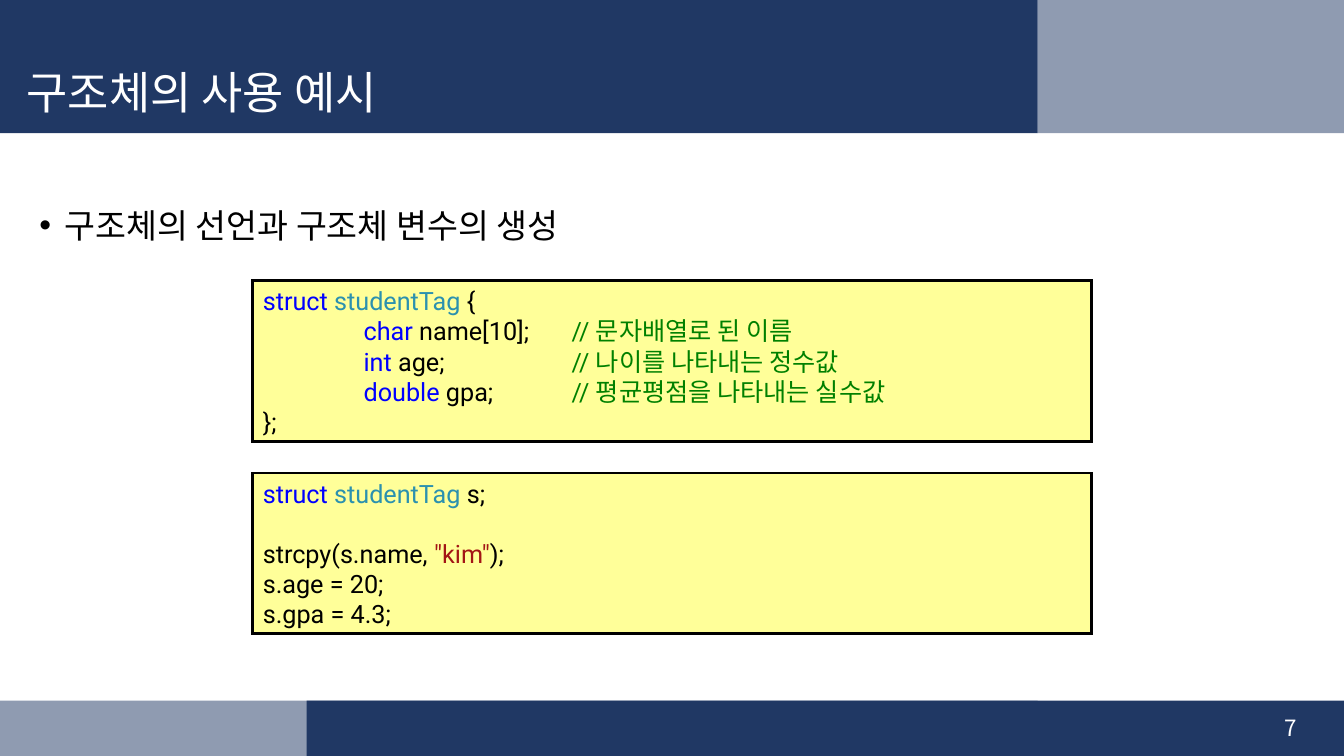
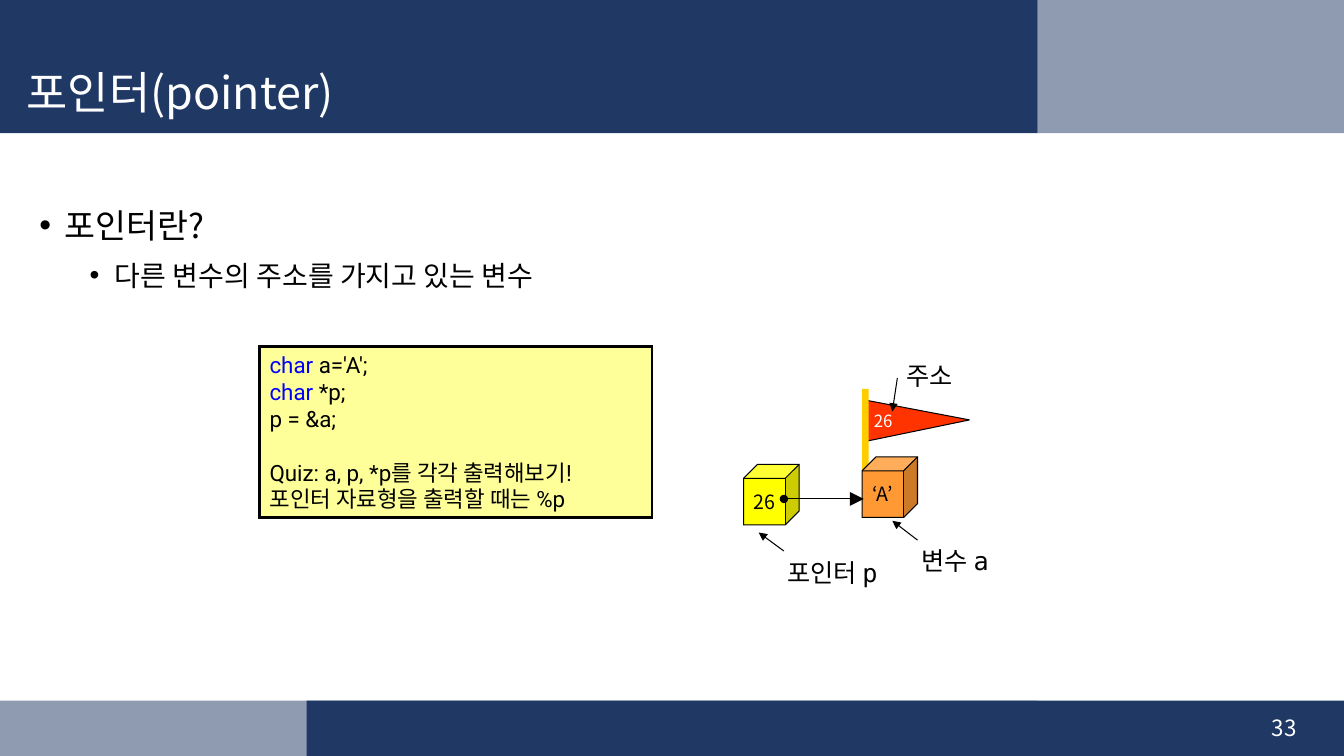
"""Build two lecture slides on C structures and pointers."""
from dataclasses import dataclass

from lxml.etree import SubElement as Sub
from pptx import Presentation
from pptx.dml.color import RGBColor as Rgb
from pptx.enum.shapes import MSO_CONNECTOR as Conn, MSO_SHAPE as Form
from pptx.enum.text import MSO_ANCHOR as Anchor, PP_ALIGN as Align
from pptx.oxml.ns import qn
from pptx.util import Inches, Pt


@dataclass(frozen=True)
class Theme:
    navy: str = "203864"
    white: str = "FFFFFF"
    black: str = "000000"
    cream: str = "FFFF99"
    key: str = "0000FF"
    kind: str = "2B91AF"
    note: str = "008000"
    quote: str = "A31515"
    flag: str = "FF3300"
    pole: str = "FFCC00"
    orange: str = "FF9933"
    yellow: str = "FFFF00"
    sans: str = "Noto Sans CJK KR"
    code: str = "Roboto"
    mono: str = "DejaVu Sans Mono"
    title: int = 32
    levels: tuple = (24, 20)
    label: int = 18
    quiz: int = 16
    page: int = 16
    cube: int = 14
    small: int = 12
    leap: float = 1.19


T = Theme()
ROWS = 90
deck = Presentation()
deck.slide_width, deck.slide_height = Inches(13.33), Inches(7.5)
UNIT = deck.slide_height / ROWS


def draw(page, form, place, fill=None, line=None, alpha=None):
    """Add a shape, or a text box when form is None, at a place on the grid."""
    left, top, width, height = (round(n * UNIT) for n in place)
    if form is None:
        return page.shapes.add_textbox(left, top, width, height)
    shape = page.shapes.add_shape(form, left, top, width, height)
    shape.shadow.inherit = False
    shape.fill.solid()
    shape.fill.fore_color.rgb = Rgb.from_string(fill)
    if alpha:
        tint = shape.element.spPr.find(".//" + qn("a:srgbClr"))
        Sub(tint, qn("a:alpha"), val=str(alpha * 1000))
    if line:
        shape.line.color.rgb = Rgb.from_string(T.black)
        shape.line.width = Pt(line)
        Sub(shape.line._get_or_add_ln(), qn("a:miter"), lim="800000")
    else:
        shape.line.fill.background()
    return shape


def write(shape, lines, size=T.label, font=T.sans, color=T.black, align=Align.LEFT,
          anchor=Anchor.TOP, wrap=True, space=None, gaps=None, bullet=False, tabs=()):
    """Fill a shape with lines, each a string or a list of (text, colour) runs."""
    frame = shape.text_frame
    frame.word_wrap, frame.vertical_anchor = wrap, anchor
    for i, line in enumerate(lines):
        para = frame.add_paragraph() if i else frame.paragraphs[0]
        para.alignment, para.line_spacing = align, space
        para.space_before = Pt((gaps or {}).get(i, 0))
        props = para._p.get_or_add_pPr()
        if bullet:
            para.level = i
            props.set("marL", str(round((3 + 6 * i) * UNIT)))
            props.set("indent", str(round(-3 * UNIT)))
            Sub(props, qn("a:buFont"), typeface="Arial")
            Sub(props, qn("a:buChar"), char="•")
        if tabs:
            stops = Sub(props, qn("a:tabLst"))
            for stop in tabs:
                Sub(stops, qn("a:tab"), pos=str(round(stop * UNIT)), algn="l")
        for text, tone in [(line, color)] if isinstance(line, str) else line:
            run = para.add_run()
            run.text = text
            run.font.size = Pt(T.levels[i] if bullet else size)
            run.font.name = font
            run.font.color.rgb = Rgb.from_string(tone)
            Sub(run._r.get_or_add_rPr(), qn("a:ea"), typeface=T.sans)


BANDS = [
    ((36.5, 83.4, 123.5, 6.6), None),
    ((0, 83.4, 123.5, 6.6), 50),
    ((0, 0, 123.5, 15.84), None),
    ((123.5, 0, 36.5, 15.84), 50),
]
TOPICS = [
    ("구조체의 사용 예시", "7", ["구조체의 선언과 구조체 변수의 생성"]),
    ("포인터(pointer)", "33", ["포인터란?", "다른 변수의 주소를 가지고 있는 변수"]),
]
pages = []
for title, number, points in TOPICS:
    page = deck.slides.add_slide(deck.slide_layouts[6])
    for place, alpha in BANDS:
        draw(page, Form.RECTANGLE, place, T.navy, alpha=alpha)
    write(draw(page, None, (119.5, 84.2, 36, 4.8)), [number], size=T.page,
          color=T.white, align=Align.RIGHT, anchor=Anchor.MIDDLE)
    write(draw(page, None, (3.5, 22.8, 151.2, 55.3)), points, space=1.2,
          gaps={1: 5}, bullet=True)
    write(draw(page, None, (2, 6.9, 121.5, 8.9)), [title], size=T.title,
          color=T.white, anchor=Anchor.MIDDLE, space=0.9)
    pages.append(page)
struct, point = pages

fields = [
    ("char", " name[10]; \t ", "// 문자배열로 된 이름"),
    ("int", " age;\t\t ", "// 나이를 나타내는 정수값"),
    ("double", " gpa;\t ", "// 평균평점을 나타내는 실수값"),
]
declare = [
    [("struct ", T.key), ("studentTag ", T.kind), ("{", T.black)],
    *[[("\t", T.black), (word, T.key), (name, T.black), (note, T.note)]
      for word, name, note in fields],
    "};",
]
assign = [
    [("struct ", T.key), ("studentTag", T.kind), (" s;", T.black)],
    [("strcpy(s.name, ", T.black), ('"kim"', T.quote), (");", T.black)],
    "s.age = 20;",
    "s.gpa = 4.3;",
]
quiz = [
    [("char", T.key), (" a='A';", T.black)],
    [("char", T.key), (" *p;", T.black)],
    "p = &a;",
    "Quiz: a, p, *p를 각각 출력해보기!",
    "포인터 자료형을 출력할 때는 %p",
]
CODES = [
    (struct, (30.1, 33.4, 99.8, 19.2), declare, T.label, None),
    (struct, (30.1, 56.3, 99.8, 19.1), assign, T.label, 1),
    (point, (30.9, 41.25, 46.7, 20.4), quiz, T.quiz, 3),
]
for page, place, lines, size, leap in CODES:
    write(draw(page, Form.RECTANGLE, place, T.cream, line=2), lines, size=size,
          font=T.code, align=Align.JUSTIFY, gaps={leap: size * T.leap},
          tabs=(12, 24, 36))

flag = draw(point, Form.ISOSCELES_TRIANGLE, (106.6, 43.8, 5, 12.6), T.flag, line=0.75)
flag.rotation = 90
flag.adjustments[0] = 0.48
write(flag, ["26"], size=T.small, color=T.white, anchor=Anchor.MIDDLE, wrap=False)
frame = flag.text_frame
frame.margin_left = frame.margin_right = frame.margin_top = 0
frame.margin_bottom = round(1.2 * UNIT)
frame._txBody.bodyPr.set("vert", "vert270")

draw(point, Form.RECTANGLE, (102.6, 46.3, 0.8, 12), T.pole)
for left, top, fill, text in [(102.6, 54.4, T.orange, "‘A’"), (88.5, 55.3, T.yellow, "26")]:
    cube = draw(point, Form.CUBE, (left, top, 6.6, 7.2), fill, line=0.75)
    cube.adjustments[0] = 0.25
    write(cube, [text], size=T.cube, align=Align.CENTER, anchor=Anchor.MIDDLE, wrap=False)

for left, top, width, text in [
    (108.5, 64.3, 12.1, "변수 a"),
    (106.7, 42.3, 8.4, "주소"),
    (92.5, 65.7, 15.1, "포인터 p"),
]:
    write(draw(point, None, (left, top, width, 4.8)), [text], font=T.mono)

ARROWS = [
    ((109.2, 64.3, 106.2, 62), None, "med"),
    ((106.8, 45, 106.2, 49), None, "med"),
    ((93.3, 65.6, 90.3, 63.4), None, "med"),
    ((93.3, 59.4, 102.8, 59.4), "oval", "lg"),
]
for ends, head, tip in ARROWS:
    arrow = point.shapes.add_connector(Conn.STRAIGHT, *(round(n * UNIT) for n in ends))
    arrow.line.color.rgb = Rgb.from_string(T.black)
    arrow.line.width = Pt(0.75)
    stroke = arrow.line._get_or_add_ln()
    if head:
        Sub(stroke, qn("a:headEnd"), type=head)
    Sub(stroke, qn("a:tailEnd"), type="triangle", w=tip, len=tip)
    Sub(arrow.element.spPr, qn("a:effectLst"))

deck.save("out.pptx")
